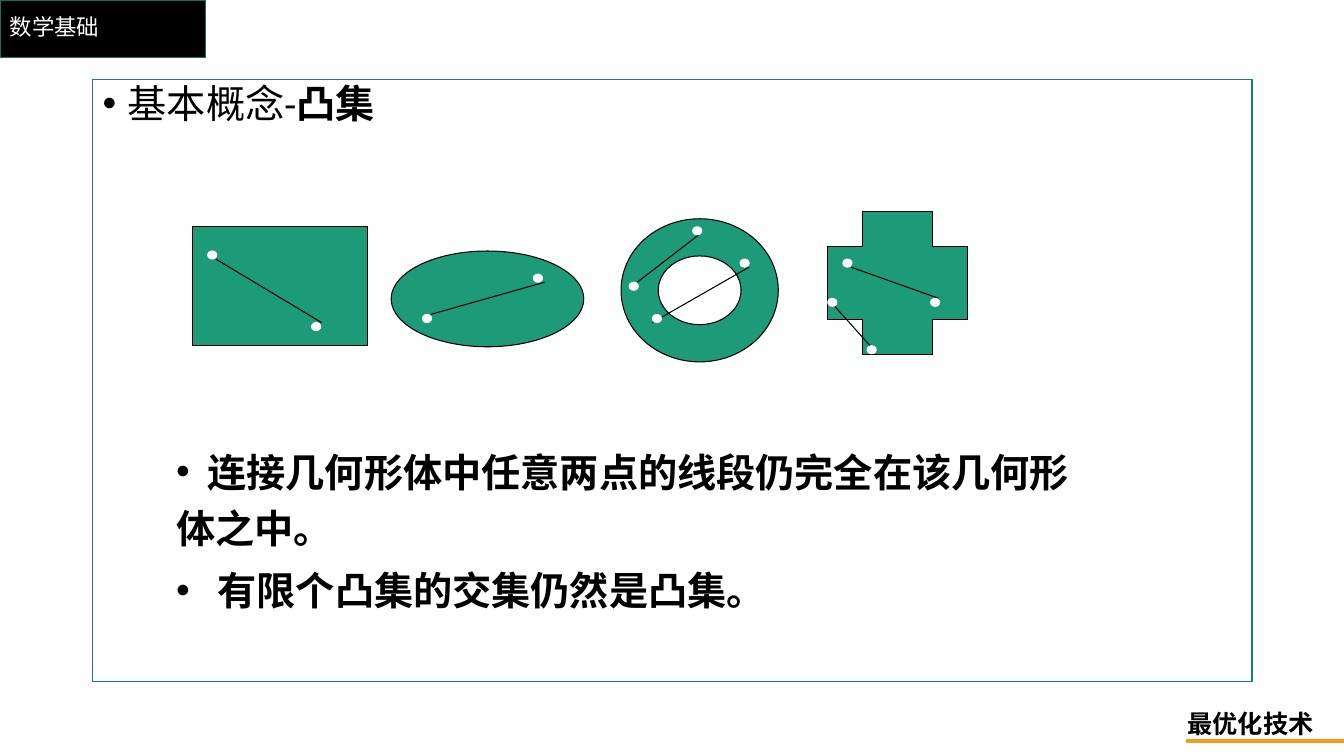
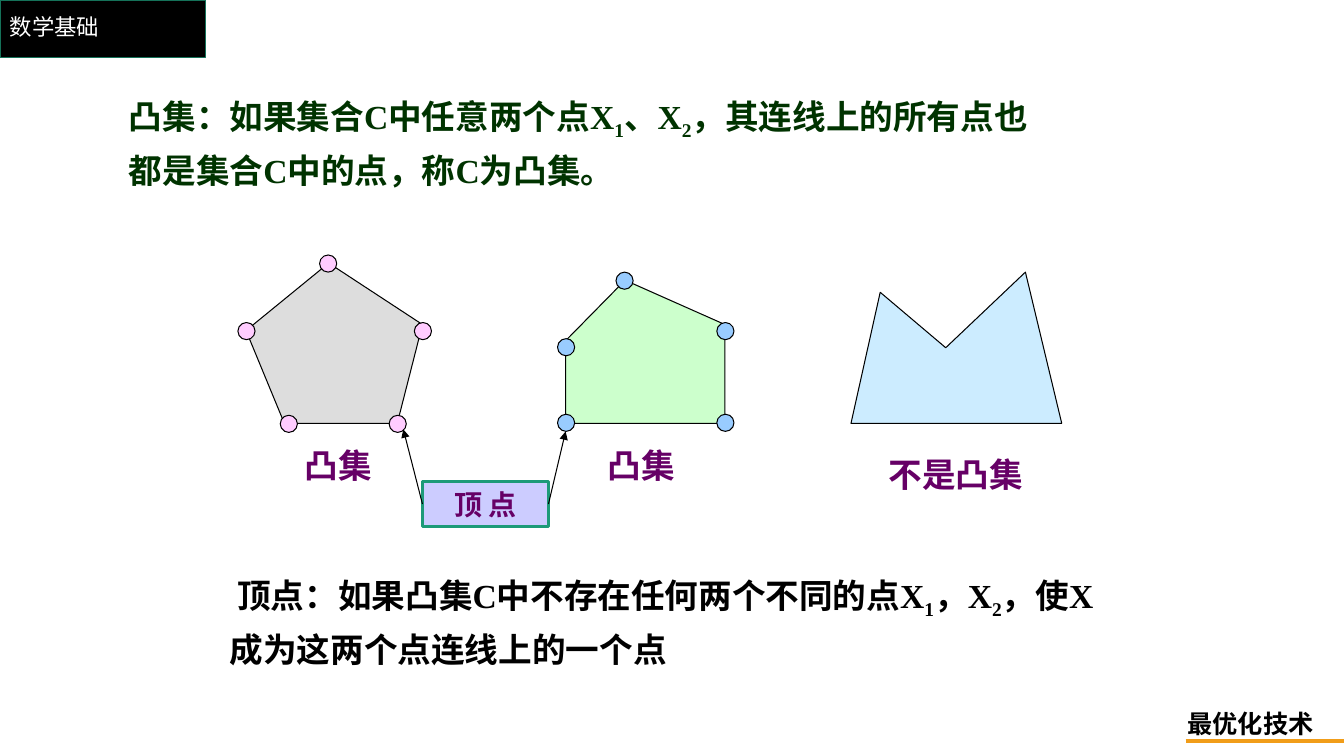
import pptx
import pptx.util
import pptx.dml.color
import pptx.enum.shapes
import pptx.enum.text
import pptx.oxml.ns
from lxml import etree

Inches = pptx.util.Inches
SHAPE = pptx.enum.shapes.MSO_SHAPE
STRAIGHT = pptx.enum.shapes.MSO_CONNECTOR.STRAIGHT
ANCHOR = pptx.enum.text.MSO_ANCHOR
ALIGN = pptx.enum.text.PP_ALIGN
qn = pptx.oxml.ns.qn


class Theme:
    black, white = "000000", "FFFFFF"
    green, green_edge = "1D9A78", "157259"
    frame, accent = "1D6FA9", "F19D19"
    definition, label, tag = "003300", "660066", "CCCCFF"
    grey, mint, sky = "DDDDDD", "CCFFCC", "CCECFF"
    pink, blue = "FFCCFF", "99CCFF"
    sans, serif = "Calibri", "Times New Roman"
    title_size, footer_size, tag_size, text_size, body_size = 16, 18, 20, 24, 28
    thin = 0.75


def paint(item, fill=None, line=None, width=Theme.thin, arrow=False):
    """Set fill and outline, and switch the shadow off."""
    if hasattr(item, "fill"):
        if fill:
            item.fill.solid()
            item.fill.fore_color.rgb = pptx.dml.color.RGBColor.from_string(fill)
        else:
            item.fill.background()
    item.line.color.rgb = pptx.dml.color.RGBColor.from_string(line)
    item.line.width = pptx.util.Pt(width)
    if arrow:
        etree.SubElement(item.line._get_or_add_ln(), qn("a:tailEnd"), type="triangle")
    etree.SubElement(item._element.spPr, qn("a:effectLst"))


def write(box, paragraphs, size, color, font=Theme.serif, bold=True, spacing=1.0,
          align=ALIGN.LEFT, anchor=ANCHOR.TOP, wrap=True, bullets=()):
    """Fill a box; a paragraph is a list of (text, style), a bullet is (margin, indent, tab)."""
    frame = box.text_frame
    frame.word_wrap = wrap
    frame.vertical_anchor = anchor
    for index, spans in enumerate(paragraphs):
        para = frame.paragraphs[0] if index == 0 else frame.add_paragraph()
        para.alignment = align
        para.line_spacing = spacing
        if index:
            para.space_before = pptx.util.Pt(4)
        if bullets:
            margin, indent, tab = bullets[index]
            props = para._p.get_or_add_pPr()
            props.set("marL", str(Inches(margin)))
            props.set("indent", str(Inches(indent)))
            etree.SubElement(props, qn("a:buFont"), typeface="Arial")
            etree.SubElement(props, qn("a:buChar"), char="•")
            if tab:
                tabs = etree.SubElement(props, qn("a:tabLst"))
                etree.SubElement(tabs, qn("a:tab"), pos=str(Inches(tab)), algn="l")
        para.font.size = pptx.util.Pt(size)
        para.font.name = font
        para.font.bold = bold
        para.font.color.rgb = pptx.dml.color.RGBColor.from_string(color)
        for text, style in spans:
            span = para.add_run()
            span.text = text
            if style == "strong":
                span.font.name = Theme.serif
                span.font.bold = True
            elif style == "sub":
                span._r.get_or_add_rPr().set("baseline", "-25000")


deck = pptx.Presentation()
deck.slide_width, deck.slide_height = Inches(13.33), Inches(7.5)

# Shared title band and footer
pages = []
for number in range(2):
    page = deck.slides.add_slide(deck.slide_layouts[6])
    band = page.shapes.add_shape(SHAPE.RECTANGLE, 0, 0, Inches(2.04), Inches(0.57))
    paint(band, Theme.black, Theme.green_edge, 1)
    title = page.shapes.add_textbox(0, 0, Inches(11.5), Inches(0.57))
    write(title, [[("数学基础", "")]], Theme.title_size, Theme.white, Theme.sans,
          bold=False, spacing=0.9, anchor=ANCHOR.MIDDLE)
    footer = page.shapes.add_textbox(Inches(11.68), Inches(6.98), Inches(1.46), Inches(0.4))
    write(footer, [[("最优化技术", "")]], Theme.footer_size, Theme.black, Theme.sans, wrap=False)
    rule = page.shapes.add_connector(STRAIGHT, Inches(11.76), Inches(7.35),
                                     Inches(13.33), Inches(7.35))
    paint(rule, line=Theme.accent, width=2.5)
    pages.append(page)
concept_page, vertex_page = pages

# Slide 1: framed heading
body = concept_page.shapes.add_shape(SHAPE.RECTANGLE, Inches(0.92), Inches(0.79),
                                     Inches(11.5), Inches(5.97))
paint(body, line=Theme.frame, width=1)
write(body, [[("基本概念-", ""), ("凸集", "strong")]], Theme.body_size, Theme.black,
      Theme.sans, bold=False, spacing=0.9, bullets=[(0.25, -0.25, None)])

# Slide 1: convex and non-convex sets
for preset, left, top, width, height, adjustment in [
    (SHAPE.RECTANGLE, 1.91, 2.25, 1.74, 1.18, None),
    (SHAPE.OVAL, 3.88, 2.49, 1.91, 0.95, None),
    (SHAPE.DONUT, 6.16, 2.17, 1.56, 1.42, 0.26),
    (SHAPE.CROSS, 8.21, 2.1, 1.39, 1.42, 0.25),
]:
    region = concept_page.shapes.add_shape(preset, Inches(left), Inches(top),
                                           Inches(width), Inches(height))
    if adjustment:
        region.adjustments[0] = adjustment
    paint(region, Theme.green, Theme.black)

# Slide 1: segments, then their end points on top
for x1, y1, x2, y2 in [
    (2.14, 2.57, 3.19, 3.2), (4.27, 3.12, 5.4, 2.8), (6.47, 3.2, 7.43, 2.65),
    (8.28, 3.04, 8.63, 3.43), (8.44, 2.65, 9.31, 2.96), (6.32, 2.8, 6.93, 2.33),
]:
    segment = concept_page.shapes.add_connector(STRAIGHT, Inches(x1), Inches(y1),
                                                Inches(x2), Inches(y2))
    paint(segment, line=Theme.black)

for left, top in [
    (2.06, 2.49), (3.09, 3.2), (4.19, 3.12), (5.29, 2.72), (6.24, 2.8), (6.47, 3.12),
    (6.87, 2.25), (7.34, 2.57), (8.36, 2.57), (8.6, 3.43), (9.23, 2.96), (8.21, 2.96),
]:
    point = concept_page.shapes.add_shape(SHAPE.OVAL, Inches(left), Inches(top),
                                          Inches(0.09), Inches(0.08))
    paint(point, Theme.white, Theme.white)

# Slide 1: properties
properties = concept_page.shapes.add_textbox(Inches(1.65), Inches(4.3), Inches(9.36), Inches(1.38))
write(properties, [[("\t连接几何形体中任意两点的线段仍完全在该几何形体之中。", "")],
                   [("\t有限个凸集的交集仍然是凸集。", "")]],
      Theme.body_size, Theme.black, spacing=1.2, bullets=[(0, 0, 0.31), (0, 0, 0.41)])

# Slide 2: definitions
for left, top, width, color, spans in [
    (1.18, 0.81, 9.13, Theme.definition,
     [("凸集：如果集合C中任意两个点X", ""), ("1", "sub"), ("、X", ""), ("2", "sub"),
      ("，其连线上的所有点也都是集合C中的点，称C为凸集。", "")]),
    (2.18, 5.56, 8.82, Theme.black,
     [(" 顶点：如果凸集C中不存在任何两个不同的点X", ""), ("1", "sub"), ("，X", ""),
      ("2", "sub"), ("，使X成为这两个点连线上的一个点", "")]),
]:
    definition = vertex_page.shapes.add_textbox(Inches(left), Inches(top),
                                                Inches(width), Inches(1.07))
    write(definition, [spans], Theme.text_size, color, spacing=1.2)

# Slide 2: polygons
for fill, corners in [
    (Theme.grey, [(2.44, 3.28), (3.26, 2.61), (4.19, 3.22), (3.94, 4.2), (2.82, 4.2)]),
    (Theme.mint, [(5.61, 3.38), (6.2, 2.78), (7.19, 3.22), (7.19, 4.2), (5.61, 4.2)]),
    (Theme.sky, [(8.44, 4.2), (8.73, 2.9), (9.38, 3.45), (10.17, 2.7), (10.53, 4.2)]),
]:
    outline = [(Inches(x), Inches(y)) for x, y in corners]
    builder = vertex_page.shapes.build_freeform(*outline[0])
    builder.add_line_segments(outline[1:], close=True)
    paint(builder.convert_to_shape(), fill, Theme.black)

# Slide 2: vertex markers
for fill, corners in [
    (Theme.pink, [(2.36, 3.2), (4.11, 3.2), (2.78, 4.12), (3.86, 4.12), (3.17, 2.53)]),
    (Theme.blue, [(6.11, 2.7), (5.53, 3.36), (5.53, 4.11), (7.11, 3.2), (7.11, 4.11)]),
]:
    for left, top in corners:
        marker = vertex_page.shapes.add_shape(SHAPE.OVAL, Inches(left), Inches(top),
                                              Inches(0.17), Inches(0.17))
        paint(marker, fill, Theme.black)

# Slide 2: labels
for text, left, top, width in [
    ("凸集", 2.69, 4.36, 1.33), ("凸集", 5.61, 4.36, 1.5), ("不是凸集", 8.69, 4.45, 1.58),
]:
    label = vertex_page.shapes.add_textbox(Inches(left), Inches(top), Inches(width), Inches(0.5))
    write(label, [[(text, "")]], Theme.text_size, Theme.label, align=ALIGN.CENTER)

# Slide 2: vertex tag with its arrows
tag = vertex_page.shapes.add_shape(SHAPE.RECTANGLE, Inches(4.19), Inches(4.78),
                                   Inches(1.25), Inches(0.44))
paint(tag, Theme.tag, Theme.green, 2.25)
write(tag, [[("顶 点", "")]], Theme.tag_size, Theme.label,
      align=ALIGN.CENTER, anchor=ANCHOR.MIDDLE)
for x1, x2, y2 in [(4.19, 4, 4.26), (5.44, 5.61, 4.28)]:
    pointer = vertex_page.shapes.add_connector(STRAIGHT, Inches(x1), Inches(5),
                                               Inches(x2), Inches(y2))
    paint(pointer, line=Theme.black, arrow=True)

deck.save("out.pptx")
